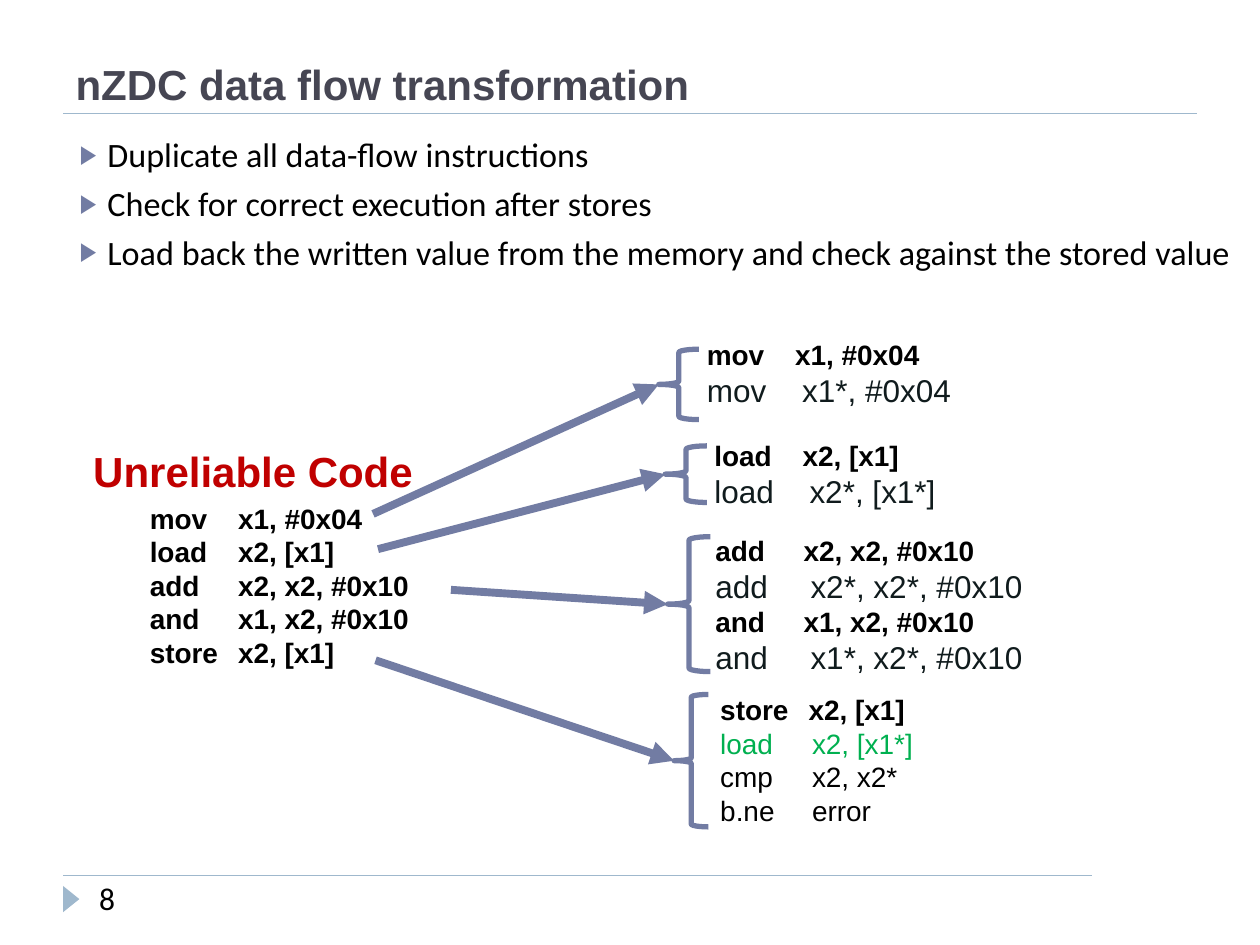
from lxml import etree
from pptx import Presentation
from pptx.dml.color import RGBColor
from pptx.enum.shapes import MSO_CONNECTOR, MSO_SHAPE
from pptx.enum.text import MSO_ANCHOR, MSO_AUTO_SIZE, PP_ALIGN
from pptx.oxml.ns import qn
from pptx.util import Cm, Pt

STRAIGHT = MSO_CONNECTOR.STRAIGHT
TRIANGLE = MSO_SHAPE.ISOSCELES_TRIANGLE
LEFT_BRACE = MSO_SHAPE.LEFT_BRACE
TOP, BOTTOM = MSO_ANCHOR.TOP, MSO_ANCHOR.BOTTOM
LEFT = PP_ALIGN.LEFT
NO_FIT = MSO_AUTO_SIZE.NONE

# Each kind of code line: size, bold, colour, tab stop of the operands in cm
ORIGINAL = (16, True, "000000", 1.78)
DUPLICATE = (18, False, "101B1D", 1.92)
RELOAD = (16, False, "00B050", 1.85)
CHECK = (16, False, "000000", 1.85)


def color(hex_string):
    return RGBColor.from_string(hex_string)


def add_xml(parent, tag, **attributes):
    return etree.SubElement(parent, qn(tag), attributes)


class SlideBuilder:
    accent = "727CA3"
    rule_color = "9FB8CD"
    black = "000000"
    code_font = "Arial"
    text_font = "Calibri"

    def __init__(self, slide):
        self.slide = slide

    def set_font(self, paragraph, name, size, hex_string, bold=False):
        font = paragraph.font
        font.name, font.size, font.bold = name, Pt(size), bold
        font.color.rgb = color(hex_string)

    def place(self, shape, left, top, width, height):
        shape.left, shape.top = Cm(left), Cm(top)
        shape.width, shape.height = Cm(width), Cm(height)

    def title(self, text, *place):
        shape = self.slide.shapes.title
        self.place(shape, *place)
        frame = shape.text_frame
        frame.text = text
        frame.auto_size = NO_FIT
        frame.vertical_anchor = BOTTOM
        paragraph = frame.paragraphs[0]
        paragraph.alignment = LEFT
        self.set_font(paragraph, self.code_font, 24, "464653", bold=True)

    def bullets(self, items, *place):
        shape = self.slide.placeholders[1]
        self.place(shape, *place)
        frame = shape.text_frame
        frame.text = "\n".join(items)
        frame.auto_size = NO_FIT
        frame.vertical_anchor = TOP
        for index, paragraph in enumerate(frame.paragraphs):
            paragraph.space_before = Pt(4.5 if index else 0)
            properties = paragraph._p.get_or_add_pPr()
            indent = Cm(0.56)
            properties.set("marL", str(indent))
            properties.set("indent", str(-indent))
            bullet_color = add_xml(properties, "a:buClr")
            add_xml(bullet_color, "a:srgbClr", val=self.accent)
            add_xml(properties, "a:buSzPct", val="76000")
            add_xml(properties, "a:buChar", char="▶")
            self.set_font(paragraph, self.text_font, 19.5, self.black)

    def text_box(self, text, *place):
        box = self.slide.shapes.add_textbox(*map(Cm, place))
        box.text_frame.word_wrap = True
        box.text_frame.text = text
        return box.text_frame.paragraphs

    def label(self, text, place, name, size, hex_string, bold=False):
        paragraph = self.text_box(text, *place)[0]
        self.set_font(paragraph, name, size, hex_string, bold)

    def code(self, lines, *place):
        """Write (kind, instruction, operands) lines with tabbed operands."""
        text = "\n".join(f"{name}\t{operands}" for _, name, operands in lines)
        paragraphs = self.text_box(text, *place)
        for paragraph, (kind, _, _) in zip(paragraphs, lines):
            size, bold, hex_string, stop = kind
            tabs = add_xml(paragraph._p.get_or_add_pPr(), "a:tabLst")
            add_xml(tabs, "a:tab", pos=str(Cm(stop)), algn="l")
            self.set_font(paragraph, self.code_font, size, hex_string, bold)

    def line(self, start, end, hex_string, width, arrow=False):
        connector = self.slide.shapes.add_connector(
            STRAIGHT, *map(Cm, (*start, *end)))
        connector.line.color.rgb = color(hex_string)
        connector.line.width = Pt(width)
        properties = connector.element.spPr
        if arrow:
            add_xml(properties.find(qn("a:ln")), "a:tailEnd", type="triangle")
        add_xml(properties, "a:effectLst")

    def brace(self, *place):
        shape = self.slide.shapes.add_shape(LEFT_BRACE, *map(Cm, place))
        shape.shadow.inherit = False
        shape.fill.background()
        shape.line.color.rgb = color(self.accent)
        shape.line.width = Pt(3)

    def page_marker(self, *place):
        shape = self.slide.shapes.add_shape(TRIANGLE, *map(Cm, place))
        shape.rotation = 90
        shape.shadow.inherit = False
        shape.fill.solid()
        shape.fill.fore_color.rgb = color(self.rule_color)
        shape.line.fill.background()

    def expansion(self, start, brace, code_place, lines):
        """Point an arrow from an instruction to its braced replacement."""
        left, top, _, height = brace
        self.line(start, (left, top + height / 2), self.accent, 4.5, arrow=True)
        self.code(lines, *code_place)
        self.brace(*brace)


def main():
    deck = Presentation()
    deck.slide_width, deck.slide_height = Cm(25.4), Cm(19.05)
    page = SlideBuilder(deck.slides.add_slide(deck.slide_layouts[1]))

    page.line((1.27, 17.65), (22.02, 17.65), page.rule_color, 1)
    page.line((1.27, 2.29), (24.13, 2.29), page.rule_color, 1)
    page.page_marker(1.17, 17.96, 0.53, 0.33)
    page.label("8", (1.75, 17.6, 3.58, 0.76), page.text_font, 18, page.black)

    page.title("nZDC data flow transformation", 1.27, -0.41, 22.86, 2.74)
    page.bullets([
        "Duplicate all data-flow instructions",
        "Check for correct execution after stores",
        "Load back the written value from the memory and check against the stored value",
    ], 1.35, 2.57, 24.05, 3.76)

    mov = (ORIGINAL, "mov", "x1, #0x04")
    load = (ORIGINAL, "load", "x2, [x1]")
    add = (ORIGINAL, "add", "x2, x2, #0x10")
    and_ = (ORIGINAL, "and", "x1, x2, #0x10")
    store = (ORIGINAL, "store", "x2, [x1]")

    page.label("Unreliable Code", (1.63, 8.86, 7.37, 1.27),
               page.code_font, 24, "C00000", bold=True)
    page.code([mov, load, add, and_, store], 2.77, 9.98, 7.01, 4.37)

    page.expansion((7.52, 10.36), (13.28, 7.04, 0.81, 1.42),
                   (14, 6.68, 6.07, 3.12),
                   [mov, (DUPLICATE, "mov", "x1*, #0x04")])
    page.expansion((7.62, 11.07), (13.41, 8.99, 0.84, 1.14),
                   (14.15, 8.71, 6.83, 3.79),
                   [load, (DUPLICATE, "load", "x2*, [x1*]")])
    page.expansion((9.09, 11.89), (13.46, 10.82, 0.86, 2.72),
                   (14.17, 10.63, 7.24, 3.18),
                   [add, (DUPLICATE, "add", "x2*, x2*, #0x10"),
                    and_, (DUPLICATE, "and", "x1*, x2*, #0x10")])
    page.expansion((7.57, 13.31), (13.59, 14, 0.69, 2.67),
                   (14.27, 13.84, 5.77, 4.62),
                   [store, (RELOAD, "load", "x2, [x1*]"),
                    (CHECK, "cmp", "x2, x2*"), (CHECK, "b.ne", "error")])

    deck.save("out.pptx")


if __name__ == "__main__":
    main()
